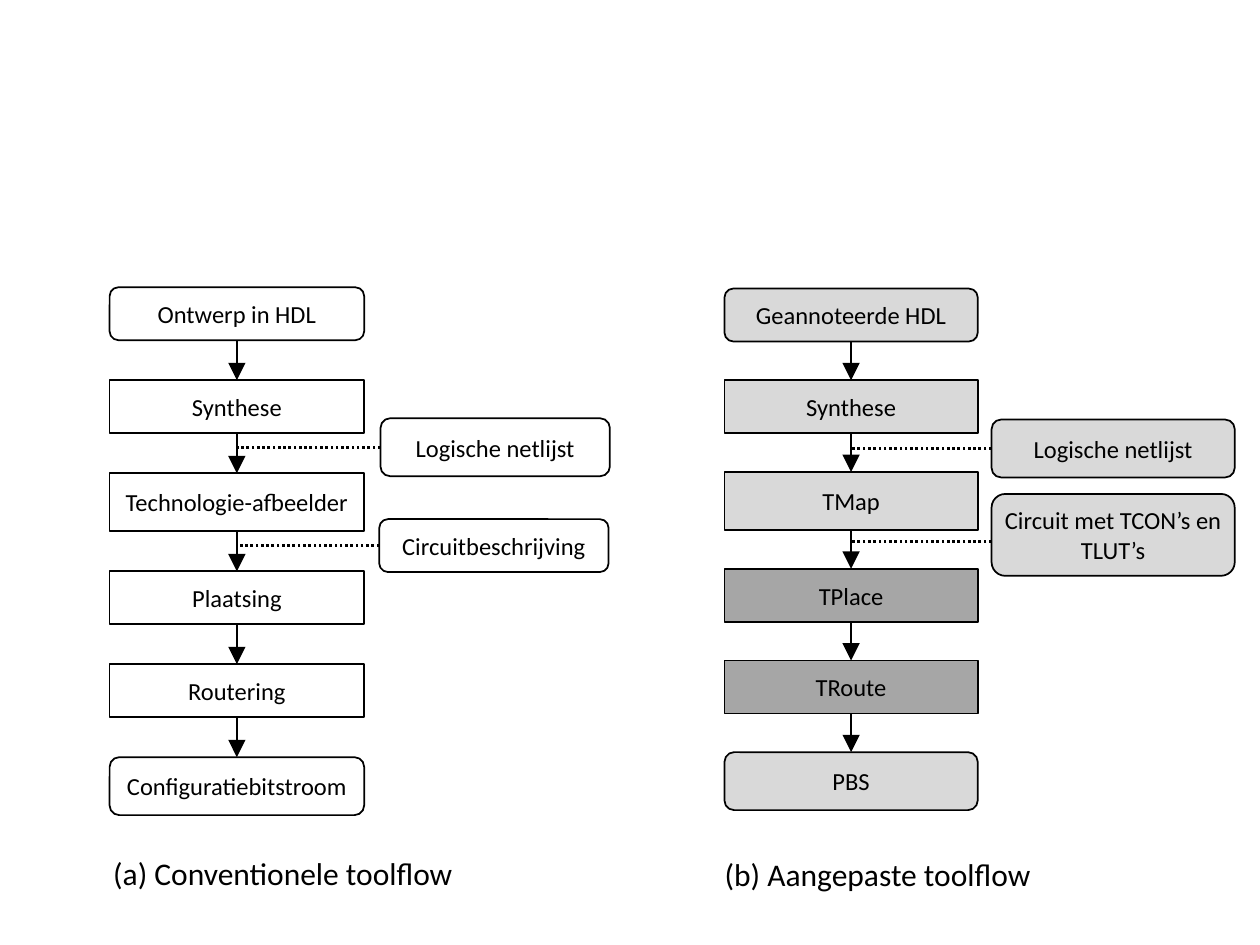
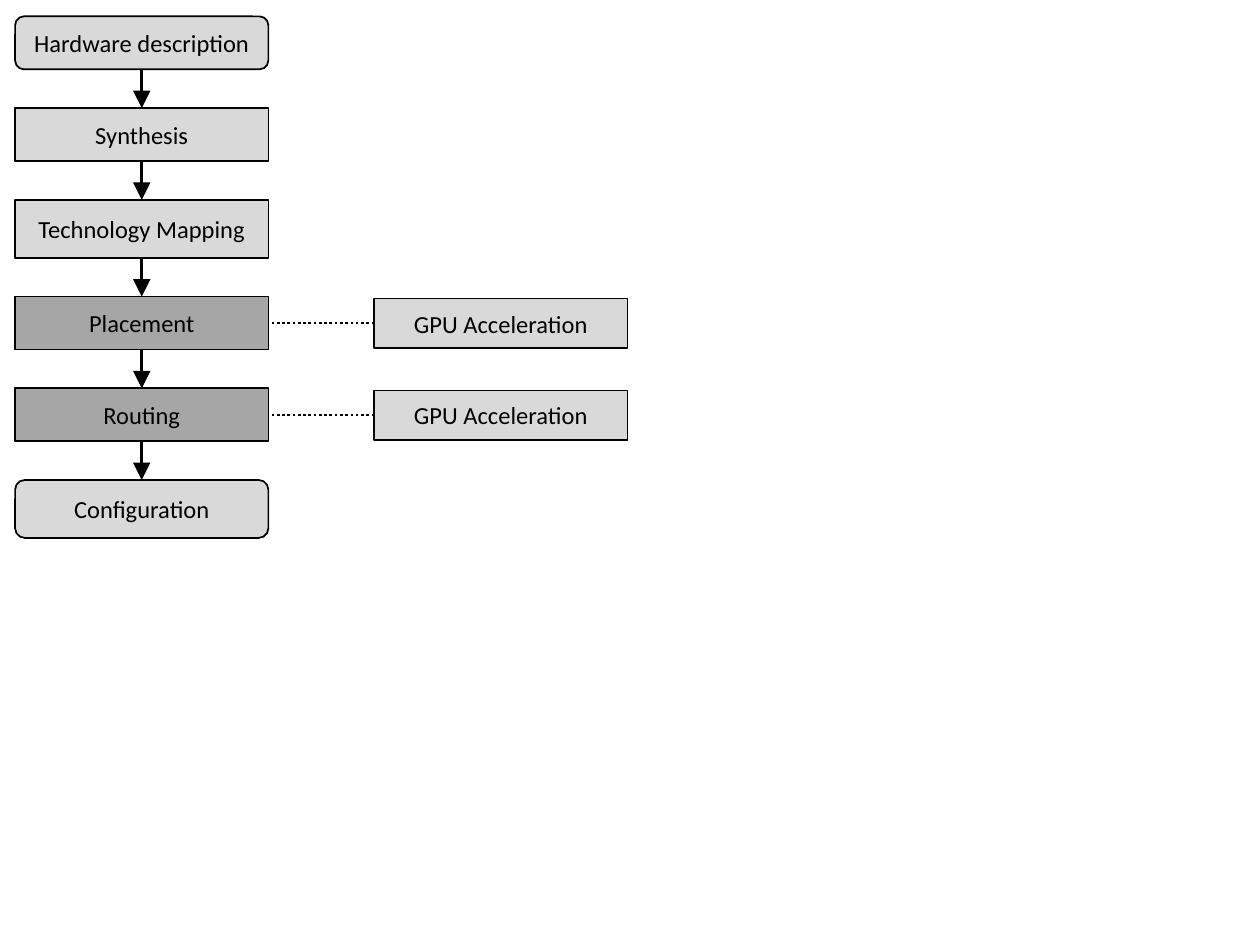
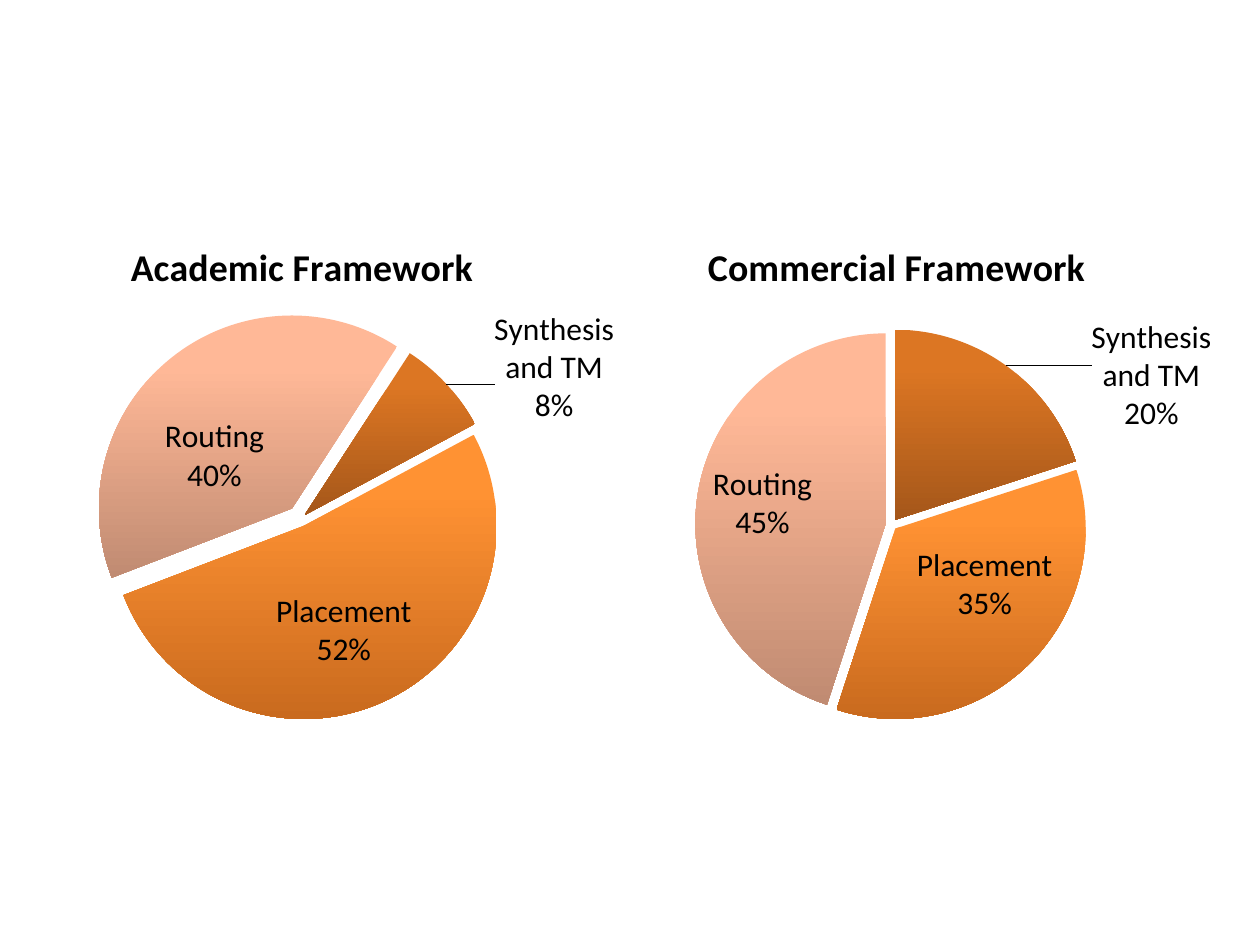
from itertools import pairwise

from lxml import etree
from pptx import Presentation
from pptx.chart.data import CategoryChartData
from pptx.dml.color import RGBColor
from pptx.enum.chart import XL_CHART_TYPE, XL_LABEL_POSITION
from pptx.enum.dml import MSO_LINE
from pptx.enum.shapes import MSO_CONNECTOR, MSO_SHAPE
from pptx.enum.text import MSO_ANCHOR, PP_ALIGN
from pptx.oxml.ns import qn
from pptx.util import Inches, Pt

ROUNDED = MSO_SHAPE.ROUNDED_RECTANGLE
STRAIGHT = MSO_CONNECTOR.STRAIGHT
DOTTED = MSO_LINE.ROUND_DOT
PIE = XL_CHART_TYPE.PIE
LABEL_INSIDE = XL_LABEL_POSITION.CENTER
LABEL_OUTSIDE = XL_LABEL_POSITION.OUTSIDE_END
CENTER = PP_ALIGN.CENTER
MIDDLE = MSO_ANCHOR.MIDDLE

FONT = "Calibri"
BLACK, WHITE, LIGHT, DARK = "000000", "FFFFFF", "D9D9D9", "A6A6A6"
STAGE_HEIGHTS = [0.42, 0.42, 0.46, 0.42, 0.42, 0.46]
CATEGORIES = ["Synthesis and TM", "Placement", "Routing"]
SLICE_GRADIENTS = [("DC7623", "A5571A"), ("FF9233", "C96A1E"), ("FFB897", "C08B72")]
LABEL_POSITIONS = [LABEL_OUTSIDE, LABEL_INSIDE, LABEL_INSIDE]


def rgb(color):
    """Turn a hex string into a colour."""
    return RGBColor.from_string(color)


def style_font(font, size, bold=False):
    """Apply the shared typeface and colour to a font."""
    font.name = FONT
    font.size = Pt(size)
    font.bold = bold
    font.color.rgb = rgb(BLACK)


def write(tf, text, size):
    """Write one centred line into a text frame."""
    tf.word_wrap = True
    p = tf.paragraphs[0]
    p.alignment = CENTER
    r = p.add_run()
    r.text = text
    style_font(r.font, size)


def add_box(s, x, y, w, h, text, fill, rounded=True):
    """Add an outlined box with a centred label."""
    sp = s.shapes.add_shape(ROUNDED, Inches(x), Inches(y), Inches(w), Inches(h))
    if not rounded:
        sp.adjustments[0] = 0
    sp.shadow.inherit = False
    sp.fill.solid()
    sp.fill.fore_color.rgb = rgb(fill)
    sp.line.color.rgb = rgb(BLACK)
    sp.line.width = Pt(1)
    tf = sp.text_frame
    tf.margin_left = tf.margin_right = tf.margin_top = tf.margin_bottom = 0
    tf.vertical_anchor = MIDDLE
    write(tf, text, 14)


def add_line(s, x1, y1, x2, y2):
    """Add a plain black line and return it."""
    c = s.shapes.add_connector(STRAIGHT, Inches(x1), Inches(y1), Inches(x2), Inches(y2))
    c.line.color.rgb = rgb(BLACK)
    c.line.width = Pt(1.5)
    etree.SubElement(c._element.spPr, qn("a:effectLst"))
    return c


def add_arrow(s, x, top, bottom):
    """Add a downward arrow with a large head."""
    c = add_line(s, x, top, x, bottom)
    etree.SubElement(c.line._get_or_add_ln(), qn("a:tailEnd"), type="triangle", w="lg", len="lg")


def add_side_box(s, x, y, w, h, text, fill, target_x, line_y=None, rounded=True):
    """Add a side box with a dotted line leading left to target_x."""
    add_box(s, x, y, w, h, text, fill, rounded)
    line_y = line_y or y + h / 2
    add_line(s, x, line_y, target_x, line_y).line.dash_style = DOTTED


def add_flow(s, x, top, w, bottom, names, fills):
    """Spread the six stages of a tool flow evenly, joined by arrows."""
    last = len(names) - 1
    gap = (bottom - top - sum(STAGE_HEIGHTS)) / last
    spans = []
    y = top
    for i, (name, fill, h) in enumerate(zip(names, fills, STAGE_HEIGHTS)):
        add_box(s, x, y, w, h, name, fill, rounded=i in (0, last))
        spans.append((y, y + h))
        y += h + gap
    for (_, start), (end, _) in pairwise(spans):
        add_arrow(s, x + w / 2, start, end)


def add_caption(s, x, y, text):
    """Add a caption under a flow."""
    sp = s.shapes.add_textbox(Inches(x), Inches(y), Inches(4.09), Inches(0.4))
    write(sp.text_frame, text, 18)


def set_layout(parent, index, **values):
    """Give a chart part a manual layout, as the child at index."""
    for old in parent.findall(qn("c:layout")):
        parent.remove(old)
    layout = etree.Element(qn("c:layout"))
    manual = etree.SubElement(layout, qn("c:manualLayout"))
    for tag, value in values.items():
        etree.SubElement(manual, qn("c:" + tag), val=str(value))
    parent.insert(index, layout)


def style_slice(point, gradient):
    """Fill a slice with a vertical gradient."""
    fill = point.format.fill
    fill.gradient()
    fill.gradient_angle = 270
    for stop, color in zip(fill.gradient_stops, gradient):
        stop.color.rgb = rgb(color)
    fill.gradient_stops[0].position = 0.2
    point.format.line.fill.background()


def add_separator(parent):
    """Put the share on a line of its own."""
    separator = etree.Element(qn("c:separator"))
    separator.text = "\n"
    last_flag = parent.find(qn("c:showBubbleSize"))
    if last_flag is None:
        last_flag = parent.find(qn("c:showPercent"))
    last_flag.addnext(separator)


def add_labels(series, offsets):
    """Label slices with name and share, moved by the given offsets."""
    labels = series.data_labels
    labels.show_category_name = labels.show_percentage = True
    labels.show_value = False
    labels.position = LABEL_INSIDE
    style_font(labels.font, 18)
    for i, position in enumerate(LABEL_POSITIONS):
        label = series.points[i].data_label
        label.position = position
        style_font(label.font, 18)
    dlbls = series._element.find(qn("c:dLbls"))
    add_separator(dlbls)
    for dlbl, (x, y) in zip(dlbls.findall(qn("c:dLbl")), offsets):
        set_layout(dlbl, 1, x=x, y=y)
        for tag, value in (("showVal", "0"), ("showCatName", "1"), ("showPercent", "1")):
            dlbl.find(qn("c:" + tag)).set("val", value)
        add_separator(dlbl)


def add_pie(s, x, w, title, values, start, explosions, title_x, plot, offsets):
    """Add a pie chart of the run time shares."""
    data = CategoryChartData()
    data.categories = CATEGORIES
    data.add_series("Series 1", values)
    chart = s.shapes.add_chart(PIE, Inches(x), Inches(1.7), Inches(w), Inches(4.44), data).chart
    style_font(chart.font, 18)
    chart.has_legend = False
    chart.has_title = True
    r = chart.chart_title.text_frame.paragraphs[0].add_run()
    r.text = title
    style_font(r.font, 21.6, bold=True)
    set_layout(chart.chart_title._element, 1, xMode="edge", yMode="edge", x=title_x, y=0.035)
    plot_x, plot_y, plot_w = plot
    set_layout(chart._chartSpace.chart.plotArea, 0, layoutTarget="inner", xMode="edge",
               yMode="edge", x=plot_x, y=plot_y, w=plot_w, h=0.69)
    pie = chart.plots[0]
    pie.vary_by_categories = True
    series = pie.series[0]
    for i, gradient in enumerate(SLICE_GRADIENTS):
        style_slice(series.points[i], gradient)
    for dpt, amount in zip(series._element.findall(qn("c:dPt")), explosions):
        explosion = etree.Element(qn("c:explosion"), val=str(amount))
        dpt.find(qn("c:spPr")).addprevious(explosion)
    add_labels(series, offsets)
    for old in pie._element.findall(qn("c:firstSliceAng")):
        pie._element.remove(old)
    etree.SubElement(pie._element, qn("c:firstSliceAng"), val=str(start))


def build_toolflows(s):
    """Compare the conventional and the adapted tool flow."""
    add_flow(s, 0.87, 2.28, 2.02, 6.47,
             ["Ontwerp in HDL", "Synthese", "Technologie-afbeelder", "Plaatsing",
              "Routering", "Configuratiebitstroom"], [WHITE] * 6)
    add_side_box(s, 3.02, 3.32, 1.82, 0.46, "Logische netlijst", WHITE, 1.89)
    add_side_box(s, 3.01, 4.12, 1.82, 0.42, "Circuitbeschrijving", WHITE, 1.89)
    add_flow(s, 5.75, 2.29, 2.01, 6.43,
             ["Geannoteerde HDL", "Synthese", "TMap", "TPlace", "TRoute", "PBS"],
             [LIGHT] * 3 + [DARK] * 2 + [LIGHT])
    add_side_box(s, 7.87, 3.33, 1.93, 0.46, "Logische netlijst", LIGHT, 6.76)
    add_side_box(s, 7.87, 3.92, 1.93, 0.65, "Circuit met TCON’s en TLUT’s", LIGHT, 6.76, 4.3)
    add_caption(s, 0.2, 6.73, "(a) Conventionele toolflow")
    add_caption(s, 4.92, 6.74, "(b) Aangepaste toolflow")


def build_acceleration(s):
    """Show which stages are accelerated."""
    add_flow(s, 0.12, 0.13, 2.01, 4.27,
             ["Hardware description", "Synthesis", "Technology Mapping", "Placement",
              "Routing", "Configuration"], [LIGHT] * 3 + [DARK] * 2 + [LIGHT])
    for y in (2.37, 3.1):
        add_side_box(s, 2.97, y, 2.01, 0.39, "GPU Acceleration", LIGHT, 2.13, rounded=False)


def build_shares(s):
    """Show the run time shares of both frameworks."""
    add_pie(s, -0.35, 6.67, "Academic Framework", [8, 52, 40], 33, [3, 4, 7],
            0.2, (0.18, 0.2, 0.46), [(0.05, 0.08), (0, 0.03), (-0.02, 0.04)])
    add_pie(s, 4.17, 5.81, "Commercial Framework", [20, 35, 45], 0, [3, 3, 3],
            0.24, (0.24, 0.21, 0.52), [(0.11, 0.13), (0.03, -0.02), (-0.04, -0.01)])


def main():
    """Build the presentation."""
    prs = Presentation()
    prs.slide_width = Inches(10)
    prs.slide_height = Inches(7.5)
    for build in (build_toolflows, build_acceleration, build_shares):
        build(prs.slides.add_slide(prs.slide_layouts[6]))
    prs.save("out.pptx")


main()
